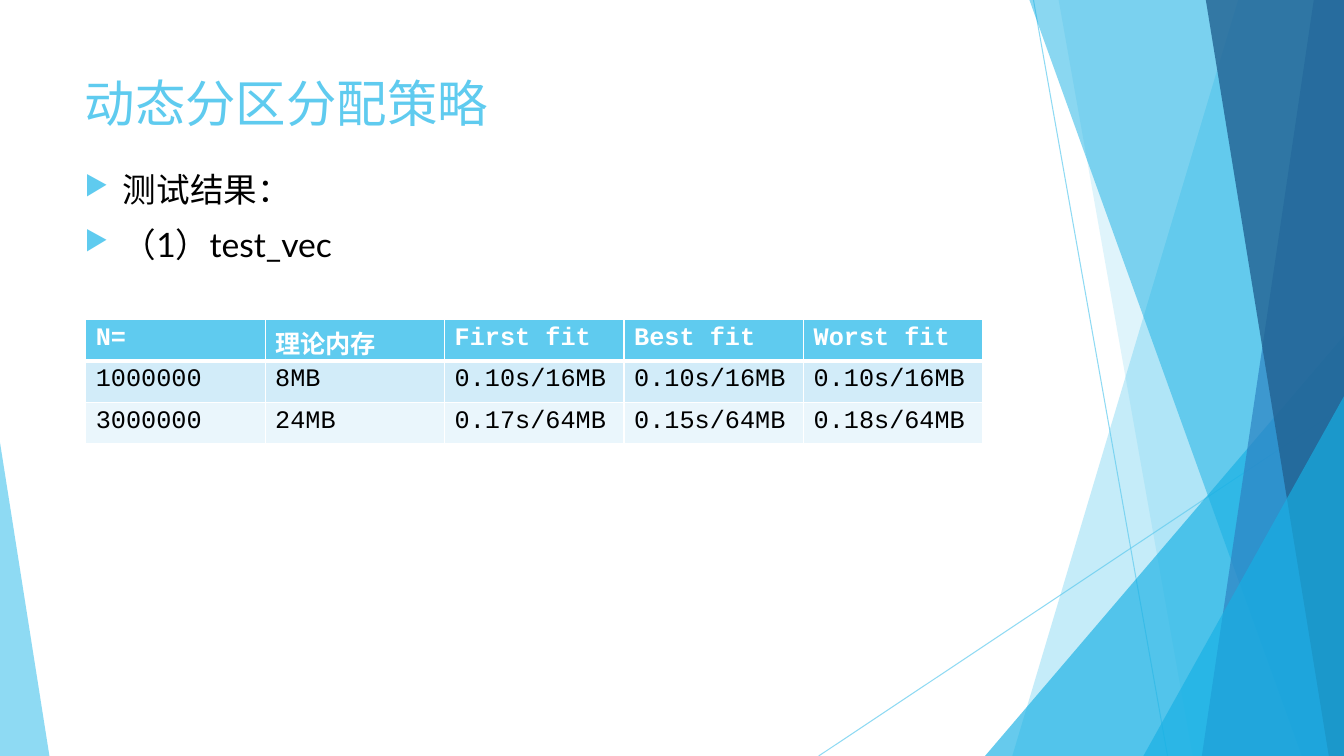
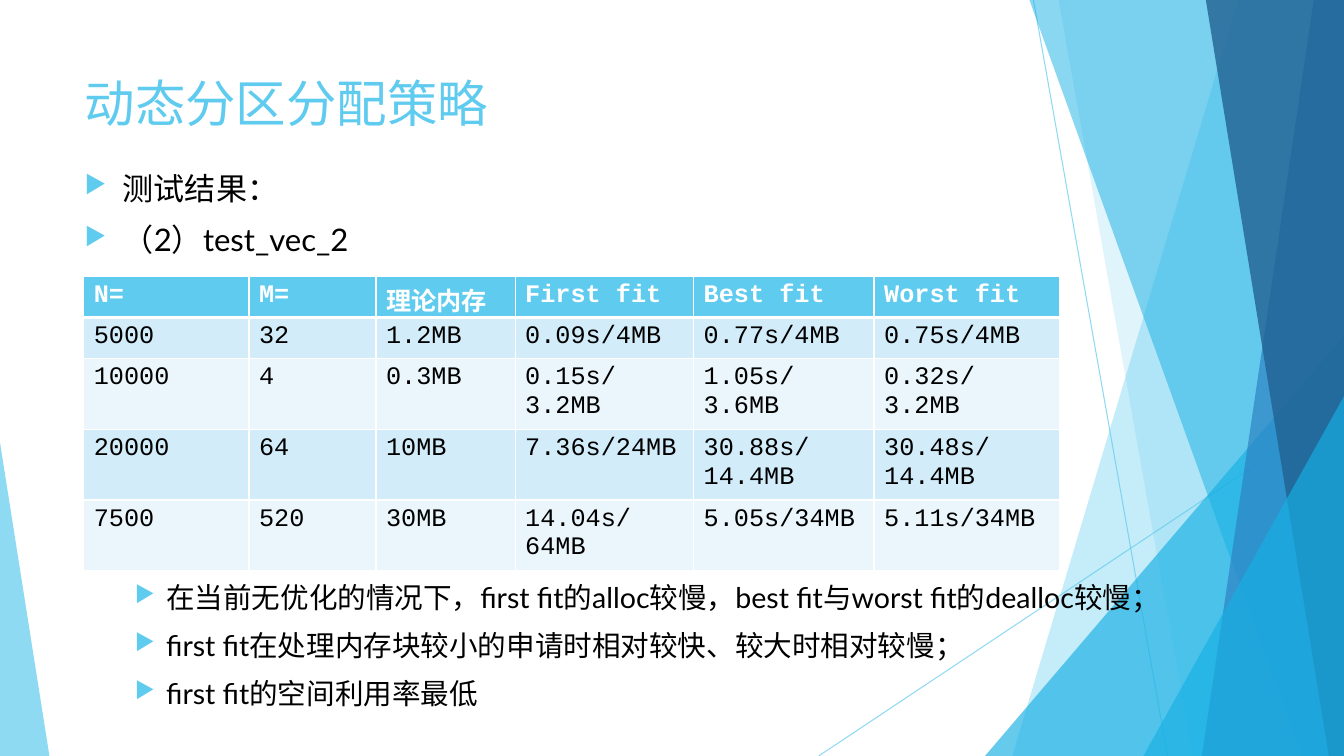
from lxml.etree import SubElement
from pptx import Presentation
from pptx.dml.color import RGBColor
from pptx.enum.shapes import MSO_CONNECTOR, MSO_SHAPE
from pptx.enum.text import MSO_ANCHOR, MSO_AUTO_SIZE, PP_ALIGN
from pptx.oxml import parse_xml
from pptx.oxml.ns import nsdecls, qn
from pptx.util import Inches, Pt

WIDTH, HEIGHT = 13.33, 7.5
TITLE_FONT, BODY_FONT = "Courier New", "Lato"
COLORS = {
    "sky": "5FCBEF", "cyan": "17B0E4", "blue": "2E83C3", "navy": "226292",
    "white": "FFFFFF", "black": "000000",
    "band_dark": "D2ECF9", "band_light": "EAF6FC",
}


class Deck:
    """Holds the shared style and the current slide."""

    def __init__(self):
        self.presentation = Presentation()
        self.presentation.slide_width = Inches(WIDTH)
        self.presentation.slide_height = Inches(HEIGHT)
        self.layout = self.presentation.slide_layouts[5]
        for placeholder in list(self.layout.placeholders):
            if placeholder.placeholder_format.idx != 0:
                self.layout.shapes.element.remove(placeholder.element)
        self.slide = None

    def color(self, name):
        return RGBColor.from_string(COLORS[name])

    def add_slide(self, title):
        self.slide = self.presentation.slides.add_slide(self.layout)
        shape = self.slide.shapes.title
        shape.left, shape.top = Inches(0.74), Inches(0.67)
        shape.width, shape.height = Inches(9.4), Inches(1.44)
        frame = shape.text_frame
        frame.vertical_anchor = MSO_ANCHOR.TOP
        frame.auto_size = MSO_AUTO_SIZE.NONE
        paragraph = frame.paragraphs[0]
        paragraph.alignment = PP_ALIGN.LEFT
        self.run(paragraph, title, 36, TITLE_FONT, "sky")

    def run(self, paragraph, text, size, font, color, bold=False):
        run = paragraph.add_run()
        run.text = text
        run.font.size, run.font.name, run.font.bold = Pt(size), font, bold
        run.font.color.rgb = self.color(color)

    # Backdrop: drawn once, then handed over to the shared layout
    def set_alpha(self, shape, percent):
        for color in shape.element.iter(qn("a:srgbClr")):
            SubElement(color, qn("a:alpha")).set("val", str(percent * 1000))

    def to_layout(self, shape, percent):
        self.set_alpha(shape, percent)
        self.layout.shapes.element.append(shape.element)

    def fill_facet(self, shape, color, percent):
        shape.shadow.inherit = False
        shape.fill.solid()
        shape.fill.fore_color.rgb = self.color(color)
        shape.line.fill.background()
        self.to_layout(shape, percent)

    def thin_line(self, *ends):
        line = self.slide.shapes.add_connector(
            MSO_CONNECTOR.STRAIGHT, *(Inches(value) for value in ends))
        line.line.color.rgb = self.color("sky")
        line.line.width = Pt(0.75)
        SubElement(line.element.spPr, qn("a:effectLst"))
        self.to_layout(line, 70)

    def edge_facet(self, top_left, bottom_left, color, percent):
        """A full-height facet that reaches the right edge."""
        builder = self.slide.shapes.build_freeform(
            Inches(top_left), 0, scale=1.0)
        corners = [(WIDTH, 0), (WIDTH, HEIGHT), (bottom_left, HEIGHT)]
        builder.add_line_segments(
            [(Inches(x), Inches(y)) for x, y in corners], close=True)
        self.fill_facet(builder.convert_to_shape(), color, percent)

    def triangle(self, left, top, width, apex, color, percent):
        """A triangle that stands on the bottom edge."""
        shape = self.slide.shapes.add_shape(
            MSO_SHAPE.ISOSCELES_TRIANGLE, Inches(left), Inches(top),
            Inches(width), Inches(HEIGHT - top))
        shape.adjustments[0] = apex
        self.fill_facet(shape, color, percent)

    def backdrop(self):
        self.thin_line(10.25, 0, 11.58, HEIGHT)
        self.thin_line(WIDTH, 4.03, 8.12, HEIGHT)
        self.edge_facet(12.28, 10.04, "sky", 36)
        self.edge_facet(10.5, 11.83, "sky", 20)
        self.triangle(9.77, 3.33, 3.56, 1, "cyan", 66)
        self.edge_facet(10.21, 12.91, "cyan", 50)
        self.edge_facet(13.03, 11.92, "blue", 70)
        self.edge_facet(11.96, 13.18, "navy", 80)
        self.triangle(11.34, 3.93, 1.99, 1, "cyan", 66)
        self.triangle(0, 4.39, 0.49, 0, "sky", 70)

    # Bulleted text
    def bullets(self, top, width, height, size, lines, margin=0.38, hang=0.38):
        box = self.slide.shapes.add_textbox(
            Inches(0.74), Inches(top), Inches(width), Inches(height))
        frame = box.text_frame
        frame.word_wrap = True
        for index, text in enumerate(lines):
            paragraph = frame.add_paragraph() if index else frame.paragraphs[0]
            paragraph.space_before = Pt(10)
            properties = paragraph._p.get_or_add_pPr()
            properties.set("marL", str(Inches(margin)))
            properties.set("indent", str(-Inches(hang)))
            bullet_color = SubElement(properties, qn("a:buClr"))
            SubElement(bullet_color, qn("a:srgbClr")).set("val", COLORS["sky"])
            SubElement(properties, qn("a:buSzPct")).set("val", "80000")
            SubElement(properties, qn("a:buChar")).set("char", "▶")
            self.run(paragraph, text, size, BODY_FONT, "black")

    # Tables
    def borders(self, cell, top, bottom):
        properties = cell._tc.get_or_add_tcPr()
        sides = (("L", 1), ("R", 1), ("T", top), ("B", bottom))
        for index, (side, points) in enumerate(sides):
            properties.insert(index, parse_xml(
                f'<a:ln{side} {nsdecls("a")} w="{Pt(points)}"><a:solidFill>'
                f'<a:srgbClr val="{COLORS["white"]}"/></a:solidFill>'
                f'</a:ln{side}>'))

    def table(self, left, top, widths, rows):
        row_height = 0.41
        table = self.slide.shapes.add_table(
            len(rows), len(widths), Inches(left), Inches(top),
            Inches(sum(widths)), Inches(row_height * len(rows))).table
        table.horz_banding = False
        for column, width in zip(table.columns, widths):
            column.width = Inches(width)
        for row_index, values in enumerate(rows):
            table.rows[row_index].height = Inches(row_height)
            header = row_index == 0
            band = "band_dark" if row_index % 2 else "band_light"
            for column_index, value in enumerate(values):
                cell = table.cell(row_index, column_index)
                cell.fill.solid()
                cell.fill.fore_color.rgb = self.color("sky" if header else band)
                self.borders(cell, 3 if row_index == 1 else 1,
                             3 if header else 1)
                self.run(cell.text_frame.paragraphs[0], value, 18, TITLE_FONT,
                         "white" if header else "black", header)


def main():
    deck = Deck()
    title = "动态分区分配策略"
    results = "测试结果："
    fits = ["First fit", "Best fit", "Worst fit"]

    # Slide 1: first test
    deck.add_slide(title)
    deck.backdrop()
    deck.bullets(1.63, 9.93, 1.2, 24, [results, "（1）test_vec"])
    deck.table(0.85, 3.17, [1.78] * 5, [
        ["N=", "理论内存", *fits],
        ["1000000", "8MB", "0.10s/16MB", "0.10s/16MB", "0.10s/16MB"],
        ["3000000", "24MB", "0.17s/64MB", "0.15s/64MB", "0.18s/64MB"],
    ])

    # Slide 2: second test and findings
    deck.add_slide(title)
    deck.bullets(1.63, 10.64, 1.1, 22.2, [results, "（2）test_vec_2"])
    deck.bullets(5.7, 10.64, 1.75, 20.4, [
        "在当前无优化的情况下，first fit的alloc较慢，best fit与worst fit的dealloc较慢；",
        "first fit在处理内存块较小的申请时相对较快、较大时相对较慢；",
        "first fit的空间利用率最低",
    ], margin=0.81, hang=0.31)
    deck.table(0.83, 2.74, [1.64, 1.26, 1.38, 1.77, 1.79, 1.84], [
        ["N=", "M=", "理论内存", *fits],
        ["5000", "32", "1.2MB", "0.09s/4MB", "0.77s/4MB", "0.75s/4MB"],
        ["10000", "4", "0.3MB", "0.15s/3.2MB", "1.05s/3.6MB", "0.32s/3.2MB"],
        ["20000", "64", "10MB", "7.36s/24MB", "30.88s/14.4MB", "30.48s/14.4MB"],
        ["7500", "520", "30MB", "14.04s/64MB", "5.05s/34MB", "5.11s/34MB"],
    ])

    deck.presentation.save("out.pptx")


if __name__ == "__main__":
    main()
